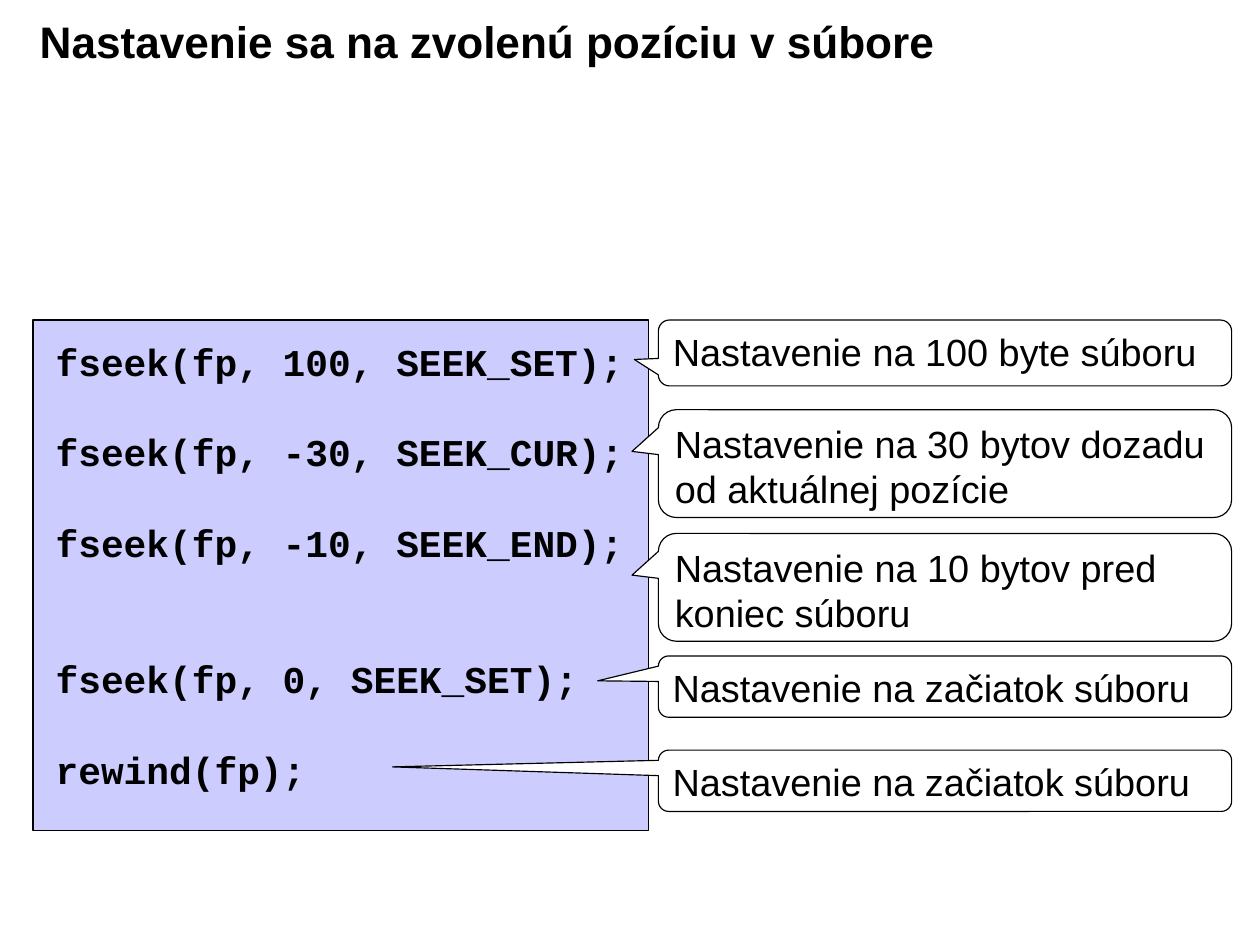
from pptx import Presentation
from pptx.dml.color import RGBColor
from pptx.enum.shapes import MSO_SHAPE as Preset
from pptx.enum.text import MSO_ANCHOR as Anchor, MSO_AUTO_SIZE as AutoSize, PP_ALIGN as Align
from pptx.util import Inches, Pt

BLACK, WHITE, LAVENDER = "000000", "FFFFFF", "CCCCFF"
LINE_PITCH = 28.8

# Code line and the number of empty lines above it
CODE = [
    ("fseek(fp, 100, SEEK_SET);", 0),
    ("fseek(fp, -30, SEEK_CUR);", 1),
    ("fseek(fp, -10, SEEK_END);", 1),
    ("fseek(fp, 0, SEEK_SET);", 2),
    ("rewind(fp);", 1),
]

# Text, top, height, tip offset from the centre as a share of width and height
CALLOUTS = [
    ("Nastavenie na 100 byte súboru", 2.82, 0.58, -0.542, 0.099),
    ("Nastavenie na 30 bytov dozadu od aktuálnej pozície", 3.61, 0.95, -0.546, -0.113),
    ("Nastavenie na 10 bytov pred koniec súboru", 4.7, 0.95, -0.546, -0.113),
    ("Nastavenie na začiatok súboru", 5.78, 0.54, -0.606, -0.094),
    ("Nastavenie na začiatok súboru", 6.61, 0.54, -0.964, -0.226),
]


def color(value):
    return RGBColor.from_string(value)


def assign(target, values):
    """Set each attribute of target named in values."""
    for name, value in values.items():
        setattr(target, name, value)


class SlideBuilder:
    body_font = {"name": "Arial", "size": Pt(24), "bold": False}
    code_font = {"name": "Courier New", "size": Pt(24), "bold": True}
    title_font = {"name": "Arial", "size": Pt(28), "bold": True}

    def __init__(self, deck):
        self.page = deck.slides.add_slide(deck.slide_layouts[5])

    def fill_text(self, box, lines, font, spacing, inset=(0.1, 0.05)):
        """Fill a box with (text, empty lines above) pairs."""
        side, end = map(Inches, inset)
        frame = box.text_frame
        assign(frame, {
            "word_wrap": True, "auto_size": AutoSize.NONE, "vertical_anchor": Anchor.TOP,
            "margin_left": side, "margin_right": side,
            "margin_top": end, "margin_bottom": end,
        })
        for index, (text, gap) in enumerate(lines):
            para = frame.add_paragraph() if index else frame.paragraphs[0]
            assign(para, {"alignment": Align.LEFT, "line_spacing": spacing,
                          "space_before": Pt(gap * LINE_PITCH)})
            span = para.add_run()
            span.text = text
            assign(span.font, font)
            span.font.color.rgb = color(BLACK)

    def title(self, text, *place):
        box = self.page.shapes.title
        assign(box, dict(zip(("left", "top", "width", "height"), map(Inches, place))))
        self.fill_text(box, [(text, 0)], self.title_font, 0.8)

    def shape(self, preset, fill, *place):
        box = self.page.shapes.add_shape(preset, *map(Inches, place))
        box.shadow.inherit = False
        box.fill.solid()
        box.fill.fore_color.rgb = color(fill)
        box.line.color.rgb = color(BLACK)
        box.line.width = Pt(0.75)
        return box

    def code(self, lines, *place):
        box = self.page.shapes.add_textbox(*map(Inches, place))
        self.fill_text(box, lines, self.code_font, Pt(LINE_PITCH), (0.11, 0.06))

    def callout(self, text, top, height, tip_x, tip_y):
        box = self.shape(Preset.ROUNDED_RECTANGULAR_CALLOUT, WHITE, 5.8, top, 5.05, height)
        for index, value in enumerate((tip_x, tip_y, 0.167)):
            box.adjustments[index] = value
        self.fill_text(box, [(text, 0)], self.body_font, Pt(LINE_PITCH))


def main():
    deck = Presentation()
    assign(deck, {"slide_width": Inches(11.1), "slide_height": Inches(8.3)})
    builder = SlideBuilder(deck)
    builder.title("Nastavenie sa na zvolenú pozíciu v súbore", 0.25, 0.17, 8.92, 1.02)
    builder.shape(Preset.RECTANGLE, LAVENDER, 0.29, 2.82, 5.42, 4.5)
    builder.code(CODE, 0.38, 2.92, 10.31, 4.11)
    for callout in CALLOUTS:
        builder.callout(*callout)
    deck.save("out.pptx")


if __name__ == "__main__":
    main()
